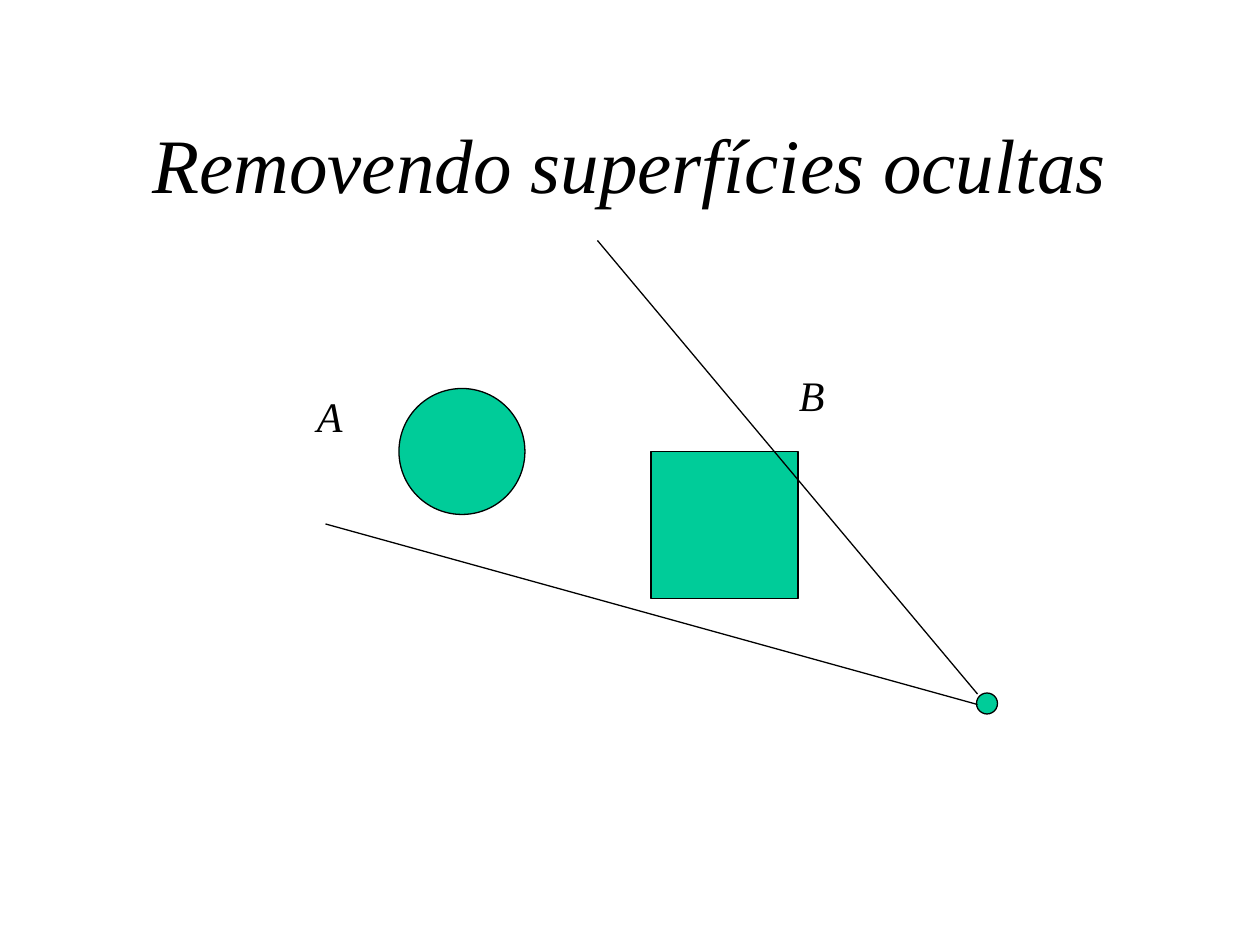
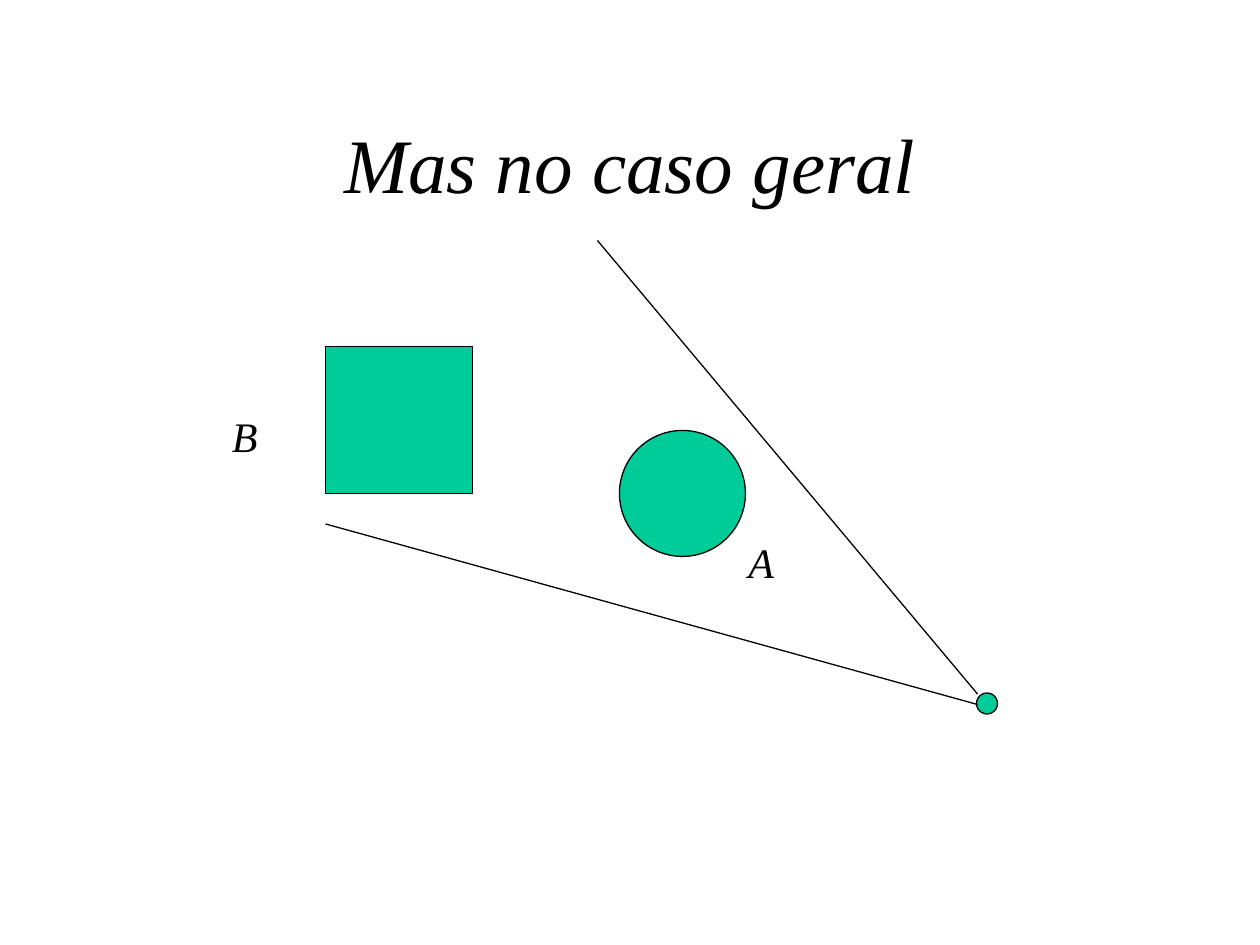
"""Builds two slides on hidden surfaces: a viewer, its field of view and two objects."""
from collections import namedtuple
from dataclasses import dataclass

from lxml.etree import SubElement
from pptx import Presentation
from pptx.dml.color import RGBColor
from pptx.enum.shapes import MSO_CONNECTOR as Connector, MSO_SHAPE as Shape
from pptx.enum.text import MSO_ANCHOR as Anchor, MSO_AUTO_SIZE as AutoSize, PP_ALIGN as Align
from pptx.oxml.ns import qn
from pptx.util import Inches, Pt


@dataclass(frozen=True)
class Theme:
    background: RGBColor = RGBColor(0xFF, 0xFF, 0xFF)
    ink: RGBColor = RGBColor(0x00, 0x00, 0x00)
    solid: RGBColor = RGBColor(0x00, 0xCC, 0x99)
    font: str = "Times New Roman"
    title_size: Pt = Pt(44)
    label_size: Pt = Pt(24)
    line_width: Pt = Pt(0.75)


Scene = namedtuple("Scene", "title square circle labels")

theme = Theme()
COLUMNS, ROWS = 120, 90
SQUARE_SIDE, CIRCLE_SIDE, VIEWER_SIDE = 14, 12, 2
VIEWER = (93, 66)
SIGHT_LINES = [((93.1, 67.1), (31, 49.9)), ((93.1, 66.1), (56.9, 22.9))]
TITLE_BOX = (9, 8, 102, 15)
LABEL_SIZE = (4.8, 6)

scenes = [
    Scene("Removendo superfícies ocultas", (62, 43), (38, 37),
          [("A", (29, 36.6)), ("B", (74.9, 34.6))]),
    Scene("Mas no caso geral", (31, 33), (59, 41),
          [("B", (20.9, 38.5)), ("A", (70.1, 50.5))]),
]

presentation = Presentation()
presentation.slide_width, presentation.slide_height = Inches(10), Inches(7.5)
column = presentation.slide_width / COLUMNS
row = presentation.slide_height / ROWS
blank_layout = presentation.slide_layouts[6]


def place(*cells):
    """Turns alternating column and row counts into slide lengths."""
    return [round(cell * (row if index % 2 else column)) for index, cell in enumerate(cells)]


def add_text(slide, text, box, size):
    """Adds one italic run in a text box and returns its frame and paragraph."""
    frame = slide.shapes.add_textbox(*place(*box)).text_frame
    paragraph = frame.paragraphs[0]
    run = paragraph.add_run()
    run.text = text
    run.font.name, run.font.size, run.font.italic = theme.font, size, True
    run.font.color.rgb = theme.ink
    return frame, paragraph


for scene in scenes:
    slide = presentation.slides.add_slide(blank_layout)
    slide.background.fill.solid()
    slide.background.fill.fore_color.rgb = theme.background

    for kind, corner, side in [
        (Shape.RECTANGLE, scene.square, SQUARE_SIDE),
        (Shape.OVAL, scene.circle, CIRCLE_SIDE),
        (Shape.OVAL, VIEWER, VIEWER_SIDE),
    ]:
        shape = slide.shapes.add_shape(kind, *place(*corner, side, side))
        shape.shadow.inherit = False
        shape.fill.solid()
        shape.fill.fore_color.rgb = theme.solid
        shape.line.color.rgb = theme.ink
        shape.line.width = theme.line_width

    for start, end in SIGHT_LINES:
        sight = slide.shapes.add_connector(Connector.STRAIGHT, *place(*start, *end))
        sight.line.color.rgb = theme.ink
        sight.line.width = theme.line_width
        SubElement(sight.element.spPr, qn("a:effectLst"))

    frame, paragraph = add_text(slide, scene.title, TITLE_BOX, theme.title_size)
    frame.word_wrap = True
    frame.vertical_anchor = Anchor.MIDDLE
    paragraph.alignment = Align.CENTER

    for letter, corner in scene.labels:
        frame, paragraph = add_text(slide, letter, (*corner, *LABEL_SIZE), theme.label_size)
        frame.word_wrap = False
        frame.auto_size = AutoSize.SHAPE_TO_FIT_TEXT
        paragraph.alignment = Align.LEFT

presentation.save("out.pptx")
